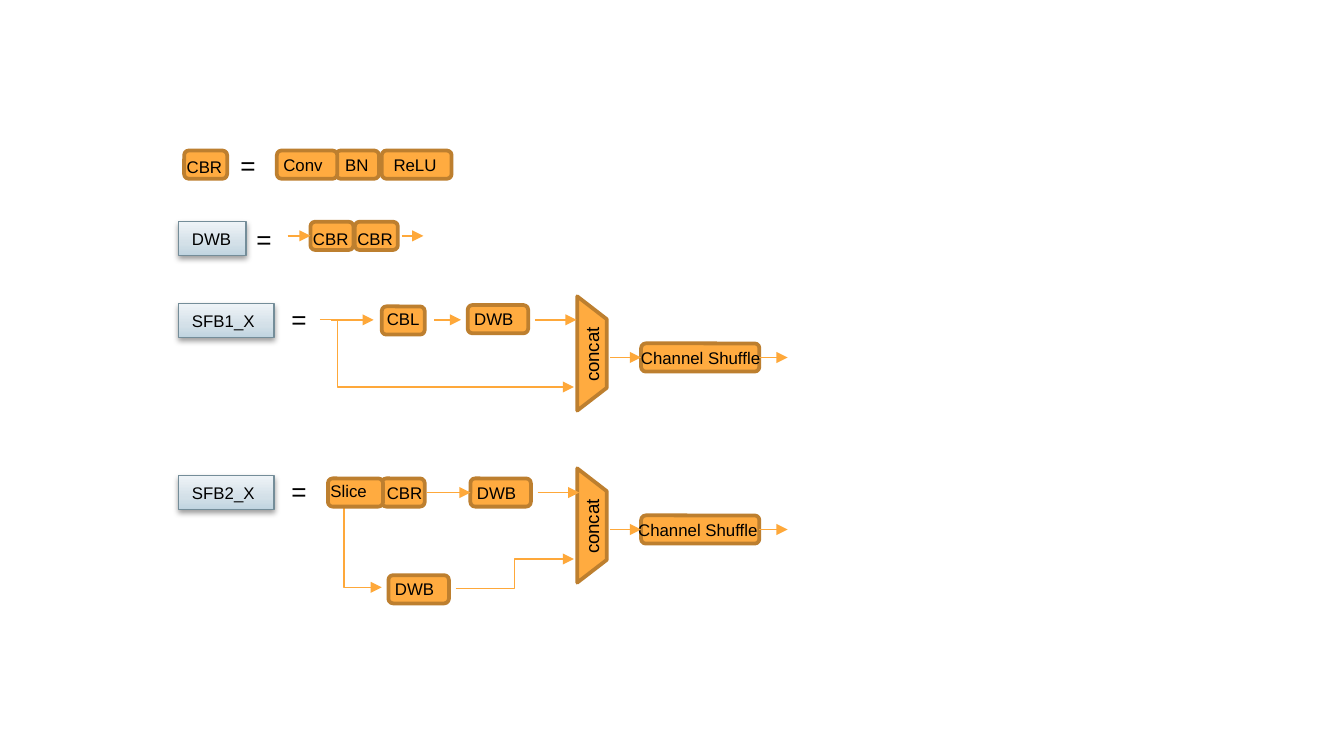
"""Builds the slide that defines the CBR, DWB, SFB1_X and SFB2_X network blocks."""
from copy import deepcopy
from dataclasses import dataclass

from lxml.etree import SubElement
from pptx import Presentation
from pptx.dml.color import RGBColor as RGB
from pptx.enum.shapes import MSO_CONNECTOR as LINK, MSO_SHAPE as SHAPE
from pptx.enum.text import MSO_ANCHOR as ANCHOR, PP_ALIGN as ALIGN
from pptx.oxml.ns import qn
from pptx.util import Inches, Pt


@dataclass(frozen=True)
class Theme:
    font: str = "Arial"
    ink: str = "000000"
    chip: str = "FFAB40"
    chip_edge: str = "BD7F2F"
    arrow: str = "FEA83A"
    panel: tuple = ((0, "C0D4E0"), (0.35, "D3E0E8"), (1, "EEF3F7"))
    panel_edge: str = "748D99"
    small: float = 9
    medium: float = 10
    large: float = 14
    thin: float = 0.75
    thick: float = 2


CELL = 0.1
COLS, ROWS = 100, 56.25
CHIP_H, PANEL_H = 2.1, 2.5
LABELS = {
    "CBR": (3.2, -0.8, 0, 4.9),
    "CBL": (3.2, -0.6, -0.3, 4.5),
    "DWB": (4.5, -0.5, -0.2, 5.5),
    "Conv": (4.5, -0.5, -0.2, 5.5),
    "BN": (3.2, -0.3, -0.2, 3.9),
    "ReLU": (5.2, -0.1, -0.2, 5.3),
    "Slice": (4.1, -0.8, -0.3, 6.2),
    "Channel Shuffle": (8.8, -1, -0.2, 11.9),
}


def cells(*values):
    return [Inches(v * CELL) for v in values]


class Diagram:
    def __init__(self, s, theme):
        self.s, self.theme = s, theme

    def set_text(self, sp, text, size, wrap=True):
        tf = sp.text_frame
        tf.text = text
        tf.word_wrap = wrap
        tf.vertical_anchor = ANCHOR.TOP
        p = tf.paragraphs[0]
        p.alignment = ALIGN.LEFT
        font = p.runs[0].font
        font.name, font.size = self.theme.font, Pt(size)
        font.color.rgb = RGB.from_string(self.theme.ink)

    def label(self, x, y, w, h, text, size, wrap=True):
        sp = self.s.shapes.add_textbox(*cells(x, y, w, h))
        self.set_text(sp, text, size, wrap)
        return sp

    def shape(self, kind, x, y, w, h, edge, width):
        sp = self.s.shapes.add_shape(kind, *cells(x, y, w, h))
        sp.shadow.inherit = False
        sp.line.color.rgb = RGB.from_string(edge)
        sp.line.width = Pt(width)
        return sp

    def solid(self, kind, x, y, w, h):
        t = self.theme
        sp = self.shape(kind, x, y, w, h, t.chip_edge, t.thick)
        sp.fill.solid()
        sp.fill.fore_color.rgb = RGB.from_string(t.chip)
        return sp

    def chip(self, x, y, text, dx=0, dy=0):
        w, left, top, label_w = LABELS[text]
        sp = self.solid(SHAPE.ROUNDED_RECTANGLE, x, y, w, CHIP_H)
        self.label(x + left + dx, y + top + dy, label_w, 2.5, text, self.theme.small)
        return sp

    def panel(self, x, y, w, text):
        t = self.theme
        sp = self.shape(SHAPE.RECTANGLE, x, y, w, PANEL_H, t.panel_edge, t.thin)
        sp.fill.gradient()
        sp.fill.gradient_angle = 90
        stop = next(sp._element.spPr.iter(qn("a:gs")))
        stop.addnext(deepcopy(stop))
        for gs, (position, color) in zip(sp.fill.gradient_stops, t.panel):
            gs.position = position
            gs.color.rgb = RGB.from_string(color)
        effects = sp._element.spPr.find(qn("a:effectLst"))
        shadow = SubElement(effects, qn("a:outerShdw"), blurRad=str(Pt(3.1)),
                            dist=str(Pt(1.6)), dir="5400000", rotWithShape="0")
        color = SubElement(shadow, qn("a:srgbClr"), val=t.ink)
        SubElement(color, qn("a:alpha"), val="38000")
        self.set_text(sp, text, t.small)

    def equals(self, x, y):
        self.label(x, y, 3.1, 3.4, "=", self.theme.large, wrap=False)

    def concat(self, y):
        self.solid(SHAPE.FLOWCHART_MANUAL_OPERATION, 39.8, y, 8.5, 2.2).rotation = 270
        self.label(41, y - 0.2, 6.1, 2.7, "concat", self.theme.medium, wrap=False).rotation = 270

    def arrow(self, start, end, bend=None, source=None, target=None):
        kind = LINK.STRAIGHT if bend is None else LINK.ELBOW
        link = self.s.shapes.add_connector(kind, *cells(*start, *end))
        if source is not None:
            link.begin_connect(source, 3)
        if target is not None:
            link.end_connect(target, 1)
        link.line.color.rgb = RGB.from_string(self.theme.arrow)
        link.line.width = Pt(self.theme.thin)
        spPr = link._element.spPr
        SubElement(spPr.find(qn("a:ln")), qn("a:tailEnd"), type="triangle")
        SubElement(spPr, qn("a:effectLst"))
        if bend is not None:
            guides = next(spPr.iter(qn("a:avLst")))
            SubElement(guides, qn("a:gd"), name="adj1", fmla=f"val {round(bend * 100000)}")

    def block(self, y, name, dx=0):
        self.panel(13.3, y, 7.1, name)
        self.equals(20.7, y - 0.5)
        self.concat(y + 2.6)
        shuffle = self.chip(47.7, y + 2.95, "Channel Shuffle", dx)
        self.arrow((45.4, y + 4), (47.6, y + 4), target=shuffle)
        self.arrow((56.4, y + 4), (58.6, y + 4), source=shuffle)


def main():
    prs = Presentation()
    prs.slide_width, prs.slide_height = cells(COLS, ROWS)
    d = Diagram(prs.slides.add_slide(prs.slide_layouts[6]), Theme())

    d.chip(13.7, 11.2, "CBR")
    d.equals(16.9, 10.6)
    for x, name in ((28.4, "ReLU"), (25, "BN"), (20.6, "Conv")):
        d.chip(x, 11.2, name)

    d.panel(13.3, 16.5, 5, "DWB")
    d.equals(18.1, 16.1)
    first, _ = [d.chip(x, 16.5, "CBR") for x in (23.1, 26.4)]
    d.arrow((21.4, 17.55), (23, 17.55), target=first)
    d.arrow((29.9, 17.55), (31.5, 17.55))

    d.block(22.6, "SFB1_X")
    d.chip(28.4, 22.8, "CBL")
    d.chip(34.8, 22.7, "DWB")
    for left, right in ((24.6, 27.8), (32.3, 34.3), (39.8, 42.9)):
        d.arrow((left, 23.8), (right, 23.8))
    d.arrow((23.8, 23.8), (42.7, 28.8), bend=0.07)

    d.block(35.4, "SFB2_X", dx=-0.2)
    d.chip(28.4, 35.6, "CBR", dx=0.2, dy=-0.2)
    dwb = d.chip(35, 35.6, "DWB")
    d.chip(28.9, 42.8, "DWB")
    d.arrow((31.8, 36.65), (35, 36.65), target=dwb)
    d.arrow((40, 36.65), (43.1, 36.65))
    d.arrow((25.6, 36.5), (28.4, 43.7), bend=0)
    d.arrow((33.9, 43.8), (42.7, 41.6), bend=0.5)
    d.chip(24.4, 35.6, "Slice")

    prs.save("out.pptx")


if __name__ == "__main__":
    main()
